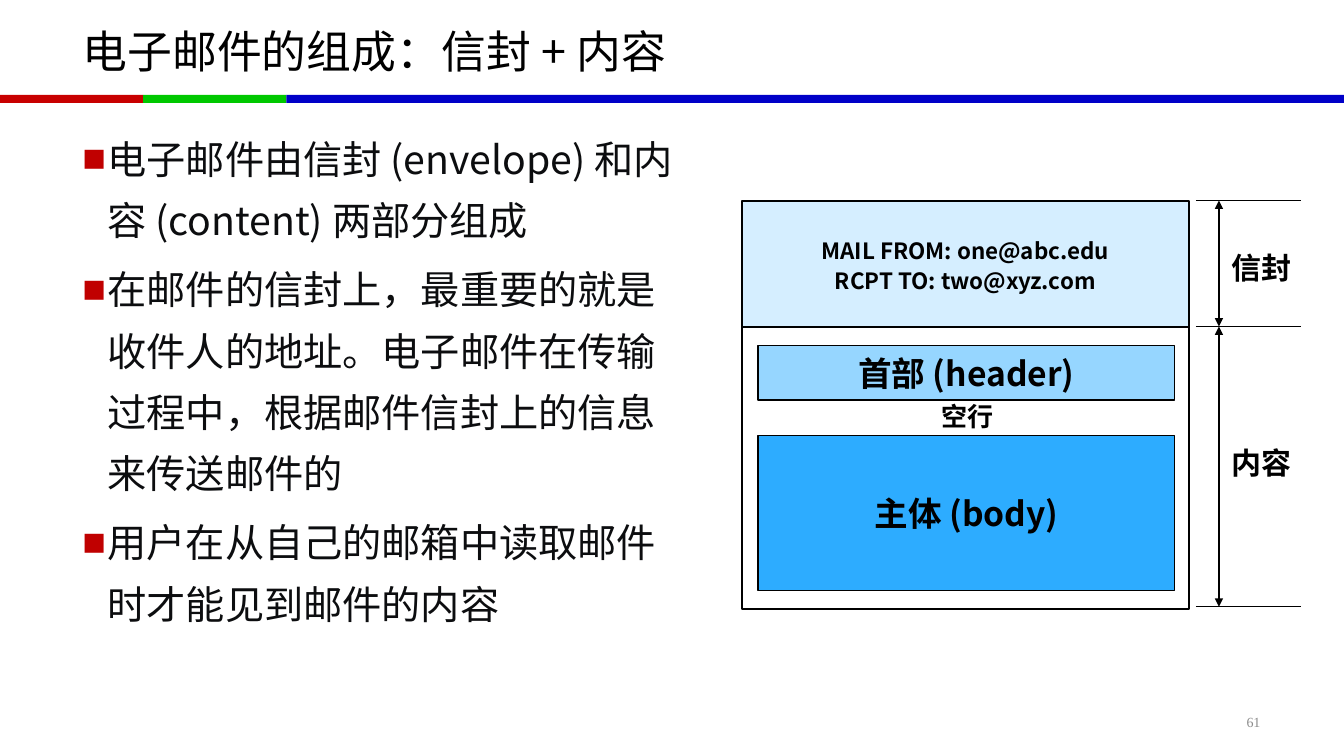
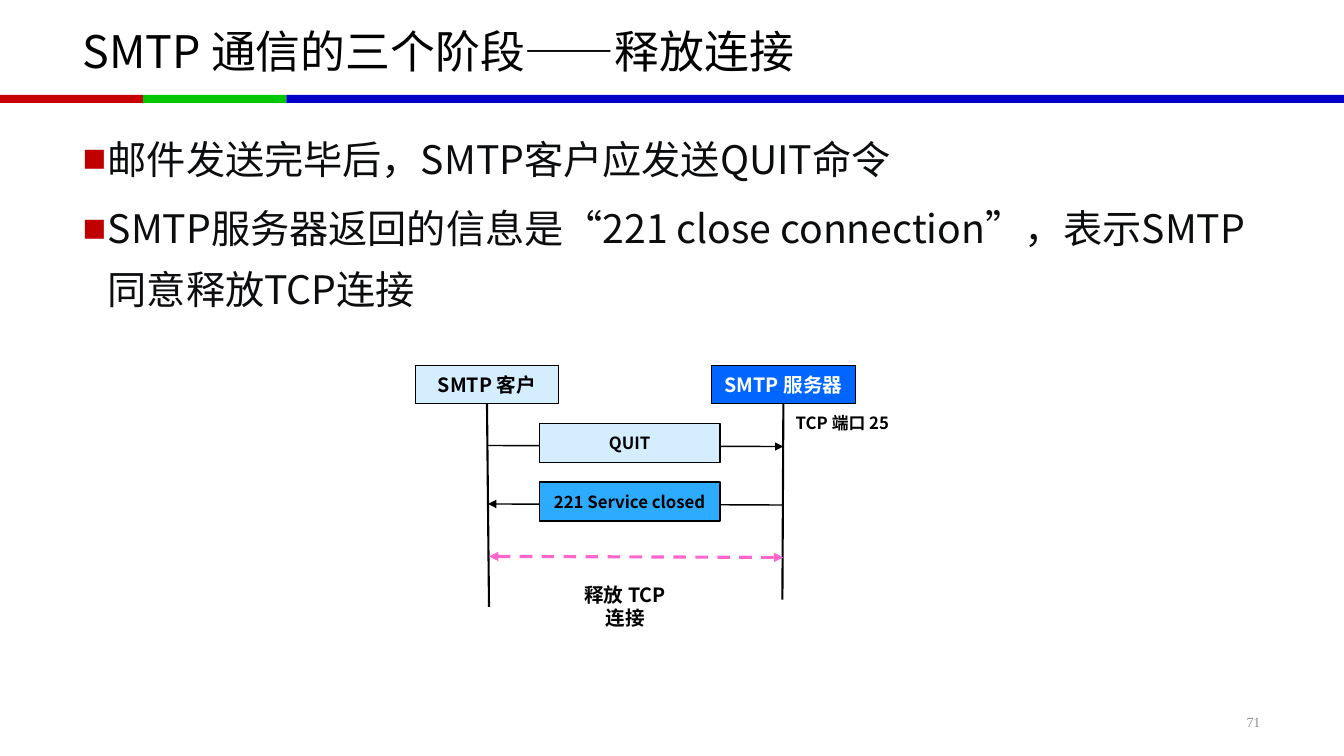
import dataclasses

import lxml.etree
import pptx
import pptx.dml.color
import pptx.enum.dml
import pptx.enum.shapes
import pptx.enum.text
import pptx.oxml.ns
import pptx.util

Inches = pptx.util.Inches
Pt = pptx.util.Pt
qn = pptx.oxml.ns.qn
ALIGN = pptx.enum.text.PP_ALIGN
ANCHOR = pptx.enum.text.MSO_ANCHOR


@dataclasses.dataclass(frozen=True)
class Theme:
    font: str = "Noto Sans CJK SC"
    number_font: str = "Times New Roman"
    black: str = "000000"
    white: str = "FFFFFF"
    body: str = "0C0D0F"
    bullet: str = "C00000"
    number: str = "8C8C8C"
    pale: str = "D5EEFF"
    light: str = "96D6FF"
    mid: str = "2DACFF"
    server: str = "0066FF"
    release: str = "FF66CC"
    band_red: str = "C80000"
    band_green: str = "00C800"
    band_blue: str = "0000C8"
    title_pt: float = 32
    body_pt: float = 28
    part_pt: float = 24
    side_pt: float = 21.4
    gap_pt: float = 18.6
    command_pt: float = 16
    role_pt: float = 14
    message_pt: float = 12
    number_pt: float = 10


T = Theme()


def rgb(value):
    return pptx.dml.color.RGBColor.from_string(value)


def sub(parent, tag, **attrs):
    return lxml.etree.SubElement(parent, qn(tag), attrs)


def write(sp, text, size, color=T.black, bold=False, align=ALIGN.LEFT,
          anchor=ANCHOR.TOP, font=T.font):
    """Fill a shape with text, one paragraph a line, in one style."""
    tf = sp.text_frame
    tf.text = text
    tf.word_wrap = True
    tf.vertical_anchor = anchor
    for p in tf.paragraphs:
        p.alignment = align
        for r in p.runs:
            r.font.size = Pt(size)
            r.font.bold = bold
            r.font.name = font
            r.font.color.rgb = rgb(color)
    for props in sp.element.iter(qn("a:rPr")):
        sub(props, "a:ea", typeface=font)
    return tf


def place(sp, x, y, w, h):
    sp.left, sp.top, sp.width, sp.height = map(Inches, (x, y, w, h))


def rect(s, x, y, w, h, fill, line_pt=0):
    sp = s.shapes.add_shape(pptx.enum.shapes.MSO_SHAPE.RECTANGLE,
                            *map(Inches, (x, y, w, h)))
    sp.shadow.inherit = False
    sp.fill.solid()
    sp.fill.fore_color.rgb = rgb(fill)
    if line_pt:
        sp.line.color.rgb = rgb(T.black)
        sp.line.width = Pt(line_pt)
    else:
        sp.line.fill.background()
    return sp


def box(s, x, y, w, h, fill, line_pt, text, size, color=T.black):
    """Outlined rectangle with bold centred text."""
    sp = rect(s, x, y, w, h, fill, line_pt)
    tf = write(sp, text, size, color, True, ALIGN.CENTER, ANCHOR.MIDDLE)
    tf.margin_left = tf.margin_right = 0
    return tf


def label(s, x, y, w, h, text, size, **style):
    sp = s.shapes.add_textbox(*map(Inches, (x, y, w, h)))
    return write(sp, text, size, **style)


def line(s, x1, y1, x2, y2, width=1, color=T.black, ends=(), dashed=False):
    """Straight line; ends names the arrowheads: headEnd, tailEnd."""
    c = s.shapes.add_connector(pptx.enum.shapes.MSO_CONNECTOR.STRAIGHT,
                               *map(Inches, (x1, y1, x2, y2)))
    c.line.color.rgb = rgb(color)
    c.line.width = Pt(width)
    if dashed:
        c.line.dash_style = pptx.enum.dml.MSO_LINE.DASH
    props = c.element.spPr
    for end in ends:
        sub(props.find(qn("a:ln")), f"a:{end}", type="triangle")
    sub(props, "a:effectLst")


def add_bands(s, layout):
    """Draw the coloured rule and move it to the layout the slides share."""
    for x, w, color in ((0, 1.42, T.band_red), (1.42, 1.42, T.band_green),
                        (2.84, 10.49, T.band_blue)):
        layout.shapes.element.append(rect(s, x, 0.94, w, 0.08, color).element)


def add_frame(s, title, number):
    place(s.shapes.title, 0.72, 0.08, 11.89, 0.84)
    write(s.shapes.title, title, T.title_pt, anchor=ANCHOR.MIDDLE)
    label(s, 8.5, 7.01, 4.1, 0.3, number, T.number_pt, color=T.number,
          align=ALIGN.RIGHT, anchor=ANCHOR.MIDDLE, font=T.number_font)


def add_bullets(s, w, items):
    tf = label(s, 0.72, 1.15, w, 5.67, "\n".join(items), T.body_pt,
               color=T.body)
    for i, p in enumerate(tf.paragraphs):
        p.line_spacing = 1.3
        p.space_before = Pt(6 if i else 0)
    for props in tf._txBody.iter(qn("a:pPr")):
        props.set("marL", str(Inches(0.25)))
        props.set("indent", str(Inches(-0.25)))
        sub(sub(props, "a:buClr"), "a:srgbClr", val=T.bullet)
        sub(props, "a:buFont", typeface=T.number_font)
        sub(props, "a:buChar", char="■")


def draw_mail(s, x, y):
    """Envelope above content, with dimension lines on the right."""
    w, split, bottom = 4.43, 1.25, 4.03
    inner_x, inner_w = x + 0.16, 4.13
    rect(s, x, y + split, w, 2.8, T.white, 1.5)
    for dy, h, fill, text in ((1.44, 0.54, T.light, "首部 (header)"),
                              (2.33, 1.54, T.mid, "主体 (body)")):
        box(s, inner_x, y + dy, inner_w, h, fill, 1, text, T.part_pt)
    label(s, x + 0.93, y + 1.93, 2.62, 0.42, "空行", T.gap_pt, bold=True,
          align=ALIGN.CENTER)
    tf = box(s, x, y, w, split, T.pale, 1.5,
             "MAIL FROM: one@abc.edu\nRCPT TO: two@xyz.com", T.command_pt)
    for p in tf.paragraphs:
        p.line_spacing = Pt(21.4)

    for dy in (0, split, bottom):
        line(s, x + 4.5, y + dy, x + 5.54, y + dy)
    for top, end, text_dy, text in ((0, split, 0.39, "信封"),
                                    (split, bottom, 2.33, "内容")):
        line(s, x + 4.73, y + top, x + 4.73, y + end,
             ends=("headEnd", "tailEnd"))
        label(s, x + 4.46, y + text_dy, 1.09, 0.54, text, T.side_pt,
              bold=True, align=ALIGN.RIGHT, anchor=ANCHOR.MIDDLE)


def draw_release(s, x, y):
    """Message exchange between the client and server lifelines."""
    role_w, role_h = 1.42, 0.37
    client, server = x + 0.72, x + 3.65
    for dx, fill, color, text in ((0, T.pale, T.black, "SMTP 客户"),
                                  (2.94, T.server, T.white, "SMTP 服务器")):
        box(s, x + dx, y, role_w, role_h, fill, 0.5, text, T.role_pt, color)
    line(s, client - 0.01, y + role_h, client + 0.01, y + 2.39, 1.5)
    line(s, server, y + role_h, server - 0.01, y + 2.32, 1.5)
    label(s, x + 3.6, y + 0.42, 1.27, 0.29, "TCP 端口 25", T.message_pt,
          bold=True, align=ALIGN.CENTER)

    for dy, fill, end, text in (
            (0.57, T.pale, "tailEnd", "QUIT"),
            (1.15, T.mid, "headEnd", "221 Service closed")):
        line(s, client, y + dy + 0.22, server, y + dy + 0.23, ends=(end,))
        box(s, x + 1.23, y + dy, 1.79, 0.39, fill, 1, text, T.message_pt)

    line(s, client + 0.01, y + 1.89, server, y + 1.9, 2.25, T.release,
         ("headEnd", "tailEnd"), True)
    label(s, x + 1.48, y + 2.1, 1.2, 0.33, "释放 TCP 连接", T.role_pt,
          bold=True, align=ALIGN.CENTER)


def mail_slide(s):
    add_frame(s, "电子邮件的组成：信封 + 内容", "61")
    add_bullets(s, 6.27, (
        "电子邮件由信封 (envelope) 和内容 (content) 两部分组成",
        "在邮件的信封上，最重要的就是收件人的地址。电子邮件在传输过程中，"
        "根据邮件信封上的信息来传送邮件的",
        "用户在从自己的邮箱中读取邮件时才能见到邮件的内容"))
    draw_mail(s, 7.36, 1.99)


def release_slide(s):
    add_frame(s, "SMTP 通信的三个阶段——释放连接", "71")
    add_bullets(s, 11.89, (
        "邮件发送完毕后，SMTP客户应发送QUIT命令",
        "SMTP服务器返回的信息是“221 close connection”，"
        "表示SMTP同意释放TCP连接"))
    draw_release(s, 4.12, 3.63)


def main():
    prs = pptx.Presentation()
    prs.slide_width, prs.slide_height = Inches(13.33), Inches(7.5)
    layout = prs.slide_layouts.get_by_name("Title Only")
    slides = [prs.slides.add_slide(layout) for _ in range(2)]
    add_bands(slides[0], layout)
    mail_slide(slides[0])
    release_slide(slides[1])
    prs.save("out.pptx")


if __name__ == "__main__":
    main()
